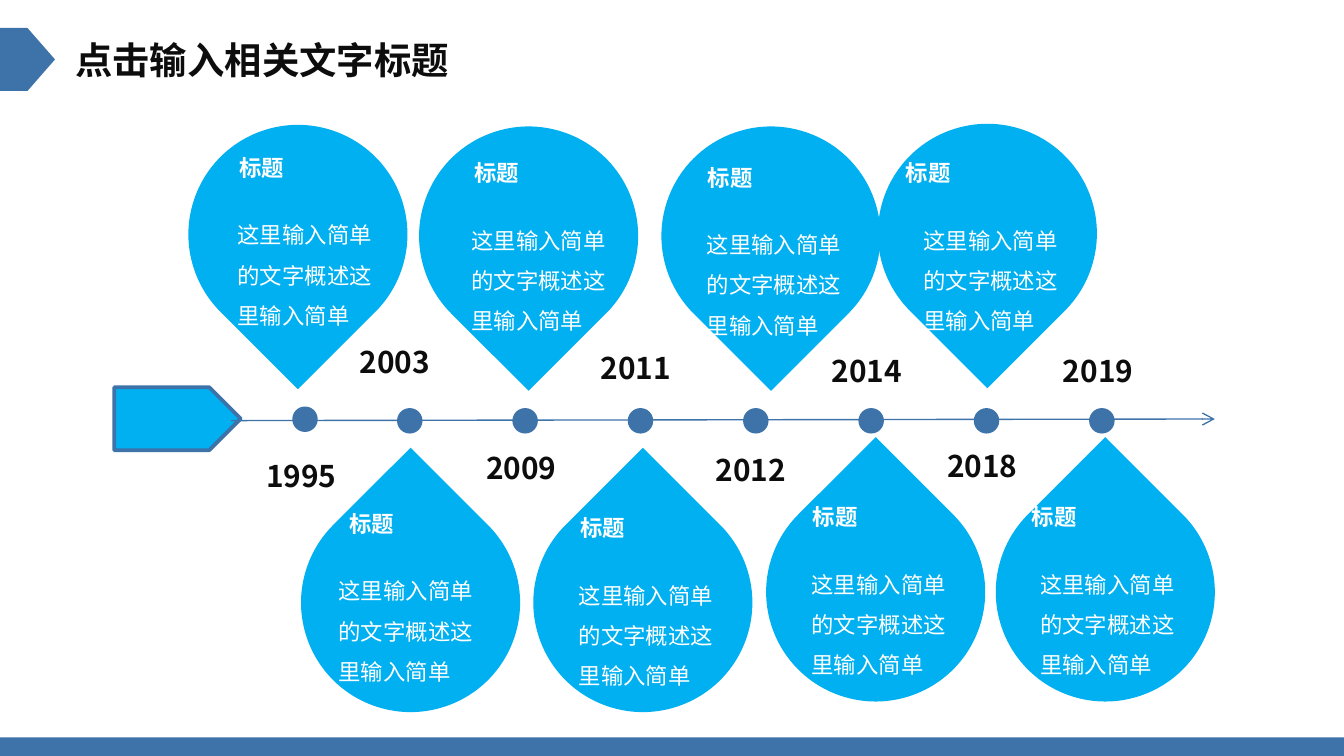
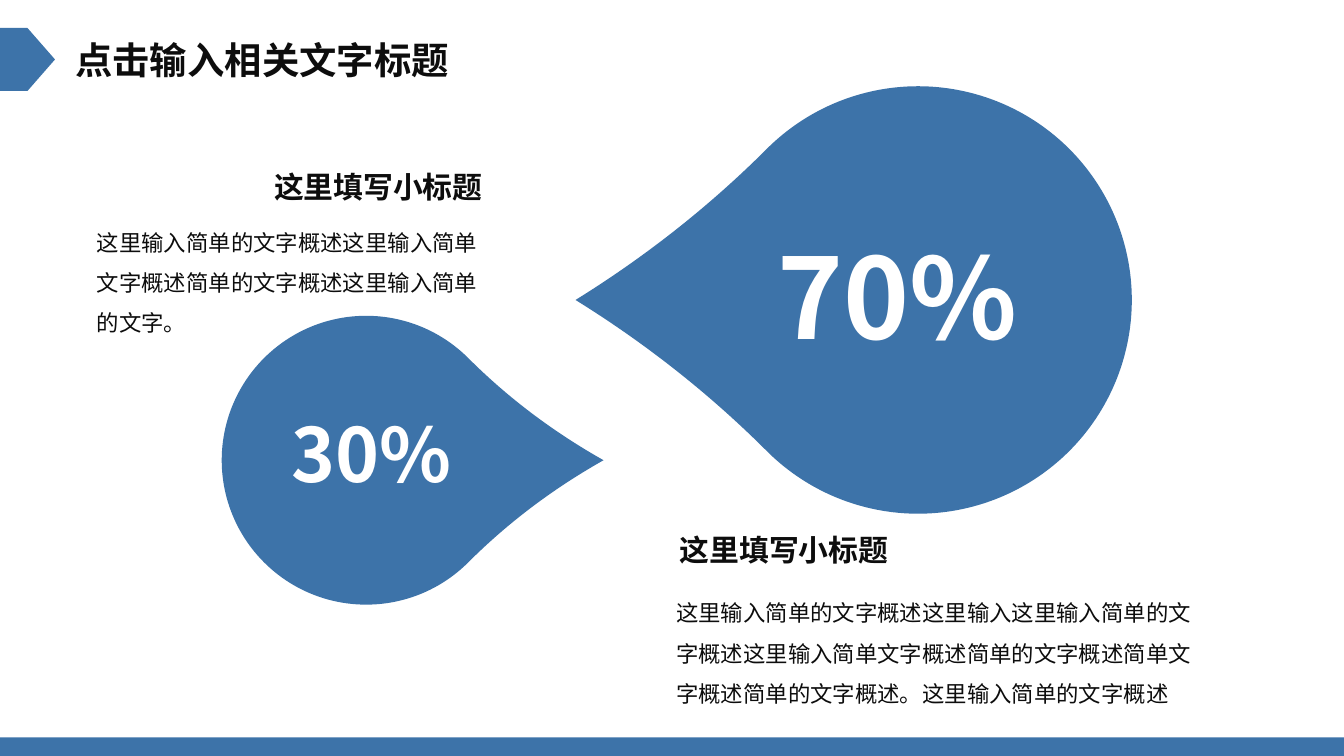
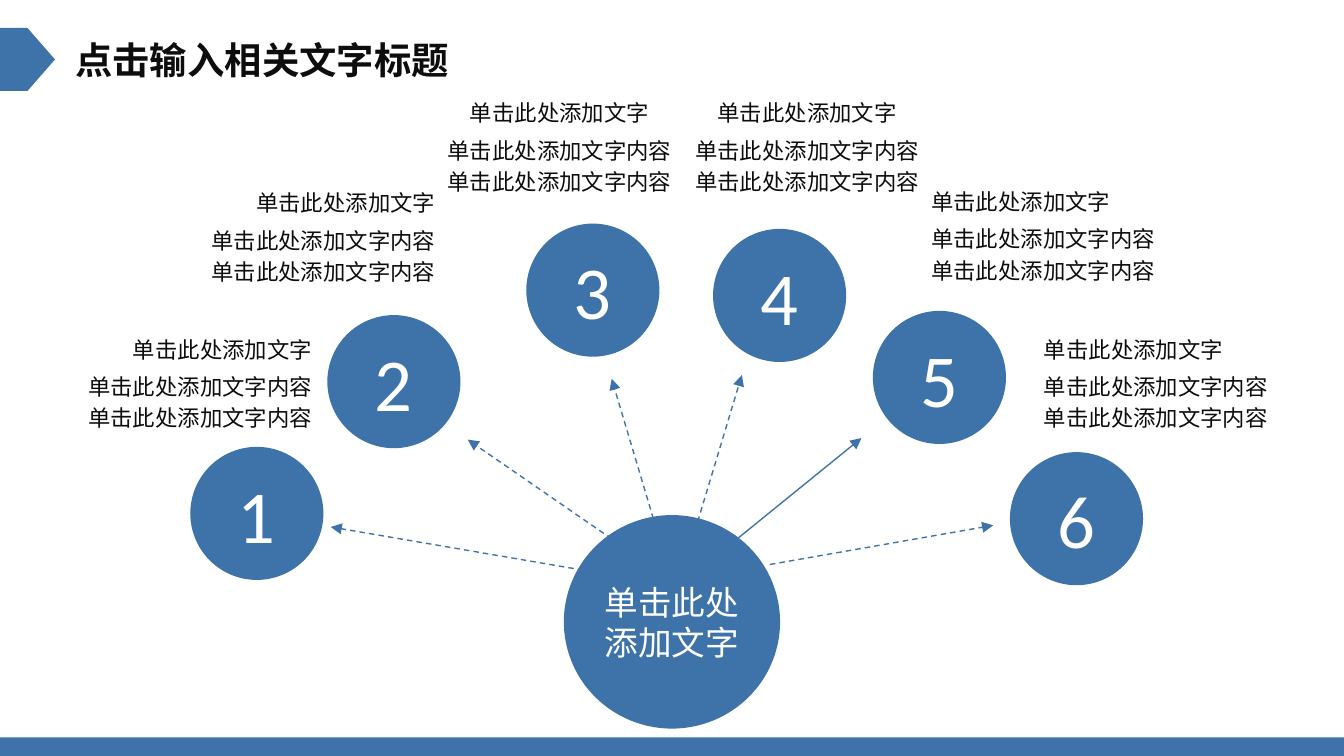
from pptx import Presentation
from pptx.dml.color import RGBColor
from pptx.enum.dml import MSO_LINE
from pptx.enum.shapes import MSO_CONNECTOR, MSO_SHAPE as SHP
from pptx.enum.text import MSO_ANCHOR, MSO_AUTO_SIZE, PP_ALIGN as AL
from pptx.oxml.ns import qn
from pptx.util import Cm, Pt
from lxml.etree import SubElement

BLUE, SKY, INK, WHITE = "3D73A9", "00B0F0", "0D0D0D", "FFFFFF"
HEAD, BODY = "Noto Sans CJK SC", "Calibri"


def rgb(value):
    return RGBColor.from_string(value)


def put_text(tf, text, size=12, font=BODY, color=INK, bold=False,
             align=AL.LEFT, spacing=None, before=None):
    """Write each line of text as one formatted paragraph."""
    for i, line in enumerate(text.split("\n")):
        p = tf.add_paragraph() if i else tf.paragraphs[0]
        p.alignment = align
        if spacing is not None:
            p.line_spacing = spacing
        if before is not None:
            p.space_before = Pt(before)
        r = p.add_run()
        r.text = line
        r.font.size, r.font.name, r.font.bold = Pt(size), font, bold
        r.font.color.rgb = rgb(color)
        SubElement(r.font._element, qn("a:ea"), typeface=font)


class Deck:
    def __init__(self):
        self.prs = Presentation()
        self.prs.slide_width, self.prs.slide_height = Cm(25.4), Cm(14.29)
        self.slide = None

    def new_slide(self, title):
        self.slide = self.prs.slides.add_slide(self.prs.slide_layouts[6])
        self.shape(SHP.RECTANGLE, 0, 13.94, 25.4, 0.41)
        self.shape(SHP.PENTAGON, 0, 0.53, 1.04, 1.19)
        self.text(title, 1.17, 0.58, 7.65, 1.12, wrap=False,
                  size=20, font=HEAD, bold=True)

    def shape(self, kind, x, y, w, h, fill=BLUE, line=None, rotation=0, adj=None):
        sp = self.slide.shapes.add_shape(kind, Cm(x), Cm(y), Cm(w), Cm(h))
        sp.shadow.inherit = False
        sp.rotation = rotation
        sp.fill.solid()
        sp.fill.fore_color.rgb = rgb(fill)
        if line:
            sp.line.color.rgb = rgb(BLUE)
            sp.line.width = Pt(line)
        else:
            sp.line.fill.background()
        if adj:
            sp.adjustments[0] = adj
        return sp

    def text(self, text, x, y, w, h, wrap=True, inset=None, **fmt):
        tf = self.slide.shapes.add_textbox(Cm(x), Cm(y), Cm(w), Cm(h)).text_frame
        tf.word_wrap = wrap
        tf.auto_size = MSO_AUTO_SIZE.SHAPE_TO_FIT_TEXT
        if inset:
            tf.margin_left = tf.margin_right = Cm(inset[0])
            tf.margin_top = tf.margin_bottom = Cm(inset[1])
        put_text(tf, text, **fmt)

    def disc(self, text, x, y, w, h, size):
        tf = self.shape(SHP.OVAL, x, y, w, h, line=0.75).text_frame
        tf.word_wrap = False
        tf.vertical_anchor = MSO_ANCHOR.MIDDLE
        put_text(tf, text, size=size, color=WHITE, align=AL.CENTER)

    def arrow(self, start, end, head="triangle", dashed=False):
        cn = self.slide.shapes.add_connector(
            MSO_CONNECTOR.STRAIGHT, *map(Cm, start + end))
        cn.line.color.rgb = rgb(BLUE)
        cn.line.width = Pt(0.75)
        if dashed:
            cn.line.dash_style = MSO_LINE.DASH
        SubElement(cn.line._get_or_add_ln(), qn("a:tailEnd"), type=head)
        SubElement(cn._element.spPr, qn("a:effectLst"))

    def pin(self, pin_xy, body_xy, head_x, rotation):
        """Teardrop with a heading above a short text."""
        x, y = body_xy
        self.shape(SHP.TEAR, *pin_xy, 4.14, 4.14, fill=SKY, rotation=rotation)
        self.text("这里输入简单的文字概述这里输入简单", x, y, 3.07, 2.57,
                  color=WHITE, spacing=1.5)
        self.text("标题", head_x, y - 1.02, 4.37, 0.76,
                  font=HEAD, color=WHITE, bold=True)

    def topic(self, body, x, y, w, title, title_x, title_y):
        """Subtitle with its paragraph."""
        inset = (0.33, 0.18)
        self.text(body, x, y, w, 2.64, inset=inset, spacing=1.5)
        self.text(title, title_x, title_y, 4.7, 0.91, inset=inset, size=16,
                  font=HEAD, bold=True, align=AL.JUSTIFY, spacing=Pt(16))

    def caption(self, x, y, align):
        """Heading over two lines, both kept to the same edge or centre."""
        w, head_w = 5.51, 4.22
        shift = {AL.LEFT: 0, AL.CENTER: 0.5, AL.RIGHT: 1}[align] * (w - head_w)
        self.text("单击此处添加文字内容\n单击此处添加文字内容", x, y, w, 1.4,
                  font=HEAD, align=align, before=2.4)
        self.text("单击此处添加文字", x + shift, y - 0.71, head_w, 0.76, align=align)


def timeline(deck):
    deck.new_slide("点击输入相关文字标题")

    # Axis and its dots
    deck.shape(SHP.PENTAGON, 2.16, 7.32, 2.39, 1.19, fill=SKY, line=2)
    deck.arrow((4.37, 7.95), (22.96, 7.92), head="arrow")
    deck.shape(SHP.OVAL, 5.56, 7.72, 0.41, 0.41, line=2)
    for i in range(7):
        deck.shape(SHP.OVAL, 7.54 + 2.18 * i, 7.75, 0.41, 0.41, line=2)

    # Pins pointing down, then pins pointing up
    down, up = 135, 315
    for pin_xy, body_xy, head_x, rotation in [
        ((3.56, 2.36), (4.24, 3.81), 4.27, down),
        ((7.92, 2.39), (8.66, 3.91), 8.71, down),
        ((12.5, 2.39), (13.11, 3.99), 13.13, down),
        ((16.59, 2.34), (17.2, 3.91), 16.87, down),
        ((5.69, 9.32), (6.15, 10.54), 6.35, up),
        ((10.08, 9.32), (10.69, 10.62), 10.72, up),
        ((14.48, 9.12), (15.09, 10.41), 15.11, up),
        ((18.82, 9.12), (19.41, 10.41), 19.25, up),
    ]:
        deck.pin(pin_xy, body_xy, head_x, rotation)

    # Years
    for year, x, y in [
        ("1995", 4.78, 8.53), ("2003", 6.55, 6.38),
        ("2009", 8.94, 8.38), ("2011", 11.1, 6.48),
        ("2012", 13.28, 8.41), ("2014", 15.47, 6.55),
        ("2018", 17.65, 8.33), ("2019", 19.84, 6.55),
    ]:
        deck.text(year, x, y, 2.18, 0.94, size=16, font=HEAD, bold=True)


def shares(deck):
    deck.new_slide("点击输入相关文字标题")

    # Drops and their percentages
    deck.shape(SHP.TEAR, 13.31, 1.63, 8.08, 8.08, rotation=225, adj=1.133)
    deck.shape(SHP.TEAR, 4.19, 5.97, 5.46, 5.46, rotation=45, adj=1.162)
    for share, size, box in [("70%", 60, (14.45, 4.17, 5.13, 2.82)),
                             ("30%", 40, (5.26, 7.59, 3.61, 1.96))]:
        deck.text(share, *box, wrap=False, size=size, font=HEAD,
                  color=WHITE, bold=True)

    # Explanations
    deck.topic("这里输入简单的文字概述这里输入简单文字概述简单的文字概述这里输入简单的文字。",
               1.5, 3.89, 7.95, "这里填写小标题", 4.85, 3.12)
    deck.topic("这里输入简单的文字概述这里输入这里输入简单的文字概述这里输入简单文字概述"
               "简单的文字概述简单文字概述简单的文字概述。这里输入简单的文字概述",
               12.45, 10.9, 10.46, "这里填写小标题", 12.52, 9.98)


def hub(deck):
    deck.new_slide("点击输入相关文字标题")

    # Arrows out of the hub
    for start, end, dashed in [
        ((13.08, 10.21), (14.02, 7.09), True),
        ((12.4, 9.98), (11.56, 7.16), True),
        ((11.71, 10.29), (8.84, 8.31), True),
        ((11.56, 10.87), (6.25, 9.96), True),
        ((13.84, 10.26), (16.28, 8.28), False),
        ((14.55, 10.67), (18.77, 9.93), True),
    ]:
        deck.arrow(start, end, dashed=dashed)

    # Numbered discs with captions
    spokes = [
        ((3.61, 8.46), (0.64, 6.93), AL.RIGHT),
        ((6.2, 5.97), (2.97, 4.17), AL.RIGHT),
        ((9.96, 4.24), (7.82, 2.46), AL.CENTER),
        ((13.49, 4.34), (12.5, 2.46), AL.CENTER),
        ((16.51, 5.89), (17.35, 4.14), AL.LEFT),
        ((19.1, 8.56), (19.48, 6.93), AL.LEFT),
    ]
    for number, (disc_xy, caption_xy, align) in enumerate(spokes, 1):
        deck.disc(str(number), *disc_xy, 2.49, 2.49, size=40)
        deck.caption(*caption_xy, align)
    deck.disc("单击此处\n添加文字", 10.67, 9.75, 4.06, 4.01, size=18)


def main():
    deck = Deck()
    for build in (timeline, shares, hub):
        build(deck)
    deck.prs.save("out.pptx")


if __name__ == "__main__":
    main()
